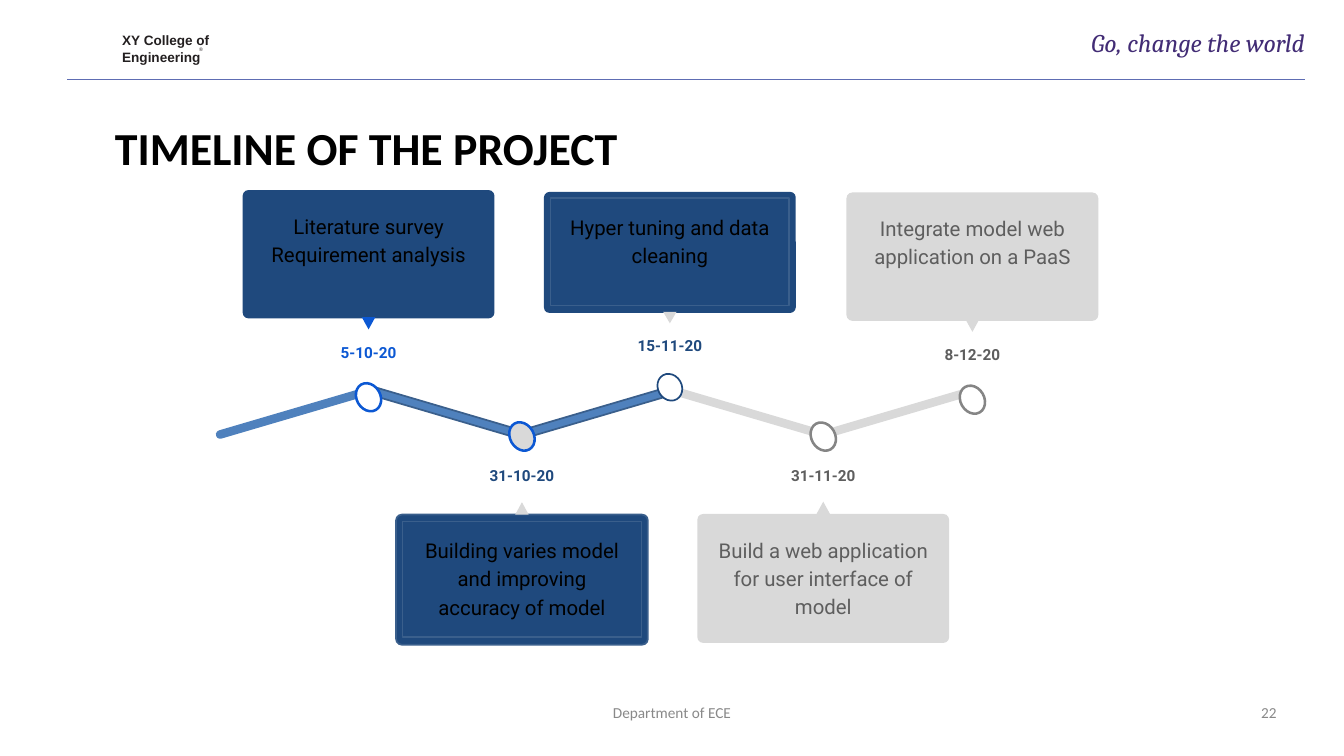
from dataclasses import dataclass

from lxml import etree
from pptx import Presentation
from pptx.dml.color import RGBColor
from pptx.enum.shapes import MSO_CONNECTOR, MSO_SHAPE
from pptx.enum.text import MSO_ANCHOR, PP_ALIGN
from pptx.oxml.ns import qn
from pptx.util import Inches, Pt

STRAIGHT = MSO_CONNECTOR.STRAIGHT
ROUNDED, RECTANGLE = MSO_SHAPE.ROUNDED_RECTANGLE, MSO_SHAPE.RECTANGLE
OVAL, TRIANGLE = MSO_SHAPE.OVAL, MSO_SHAPE.ISOSCELES_TRIANGLE
TOP = MSO_ANCHOR.TOP
LEFT, CENTER, RIGHT = PP_ALIGN.LEFT, PP_ALIGN.CENTER, PP_ALIGN.RIGHT


@dataclass(frozen=True)
class Theme:
    """Colours, type sizes and fonts of the slide."""
    white: str = "FFFFFF"
    black: str = "000000"
    ink: str = "231F20"
    purple: str = "422C75"
    rule: str = "5E6DB3"
    navy: str = "1F497D"
    bright: str = "0C58D3"
    blue: str = "4F81BD"
    edge: str = "3A5F8C"
    pale: str = "D9D9D9"
    ring: str = "858585"
    grey: str = "5E5E5E"
    footer: str = "898989"
    heading_size: int = 54
    motto_size: int = 30
    card_size: int = 24
    small_size: int = 18
    college_size: int = 16
    mark_size: int = 6
    heading_font: str = "Calibri"
    motto_font: str = "Cambria"
    college_font: str = "Arial"
    body_font: str = "Roboto"


THEME = Theme()


@dataclass(frozen=True)
class Milestone:
    """One dated step: its card, pointer, date and marker on the path."""
    center: float
    card_top: float
    card_height: float
    date: str
    task: str
    card_fill: str
    task_color: str
    date_color: str
    pointer_fill: str
    marker_line: str
    marker_width: int = 3
    marker_fill: str = THEME.white
    card_line: str | None = None
    body_line: str | None = None
    above: bool = True


MILESTONES = (
    Milestone(6.03, 3.11, 2.1, "5-10-20", "Literature survey Requirement analysis",
              THEME.navy, THEME.black, THEME.bright, THEME.bright, THEME.bright),
    Milestone(8.54, 8.42, 2.13, "31-10-20",
              "Building varies model and improving accuracy of model",
              THEME.navy, THEME.black, THEME.navy, THEME.pale, THEME.bright,
              marker_fill=THEME.pale, card_line=THEME.edge,
              body_line=THEME.edge, above=False),
    Milestone(10.96, 3.14, 1.98, "15-11-20", "Hyper tuning and data cleaning",
              THEME.navy, THEME.black, THEME.navy, THEME.pale, THEME.navy,
              marker_width=2, body_line=THEME.edge),
    Milestone(13.47, 8.41, 2.11, "31-11-20",
              "Build a web application for user interface of model",
              THEME.pale, THEME.grey, THEME.grey, THEME.pale, THEME.ring, above=False),
    Milestone(15.91, 3.15, 2.1, "8-12-20", "Integrate model web application on a PaaS",
              THEME.pale, THEME.grey, THEME.grey, THEME.pale, THEME.ring),
)


def add_block(slide, kind, box, fill, line=None, line_width=2, rotation=0, corner=None):
    """Add a flat preset shape with an optional outline."""
    block = slide.shapes.add_shape(kind, *map(Inches, box))
    block.shadow.inherit = False
    block.fill.solid()
    block.fill.fore_color.rgb = RGBColor.from_string(fill)
    if line:
        block.line.color.rgb = RGBColor.from_string(line)
        block.line.width = Pt(line_width)
    else:
        block.line.fill.background()
    block.rotation = rotation
    if corner is not None:
        block.adjustments[0] = corner
    return block


def write(holder, lines, font, size, color, align=LEFT, bold=False, italic=False,
          inset=0, spacing=1.0, after=0):
    """Fill a shape or text box with one paragraph per line."""
    frame = holder.text_frame
    frame.word_wrap = True
    frame.vertical_anchor = TOP
    frame.margin_left = frame.margin_right = Inches(inset)
    frame.margin_top = frame.margin_bottom = Inches(inset)
    for index, line in enumerate(lines):
        paragraph = frame.add_paragraph() if index else frame.paragraphs[0]
        paragraph.alignment = align
        paragraph.line_spacing = spacing
        paragraph.space_after = Pt(after)
        run = paragraph.add_run()
        run.text = line
        run.font.name = font
        run.font.size = Pt(size)
        run.font.bold = bold
        run.font.italic = italic
        run.font.color.rgb = RGBColor.from_string(color)


def add_label(slide, box, lines, font, size, color, **style):
    """Add a text box holding the given lines."""
    label = slide.shapes.add_textbox(*map(Inches, box))
    write(label, lines, font, size, color, **style)


def add_header(slide):
    """Add the rule, college name, motto and heading."""
    rule = slide.shapes.add_connector(
        STRAIGHT, Inches(1.1), Inches(1.3), Inches(21.36), Inches(1.3))
    rule.line.color.rgb = RGBColor.from_string(THEME.rule)
    rule.line.width = Pt(1.25)
    etree.SubElement(rule.line._get_or_add_ln().getparent(), qn("a:effectLst"))
    add_label(slide, (2, 0.5, 1.5, 0.54), ["XY College of", "Engineering"],
              THEME.college_font, THEME.college_size, THEME.ink, bold=True, spacing=1.06)
    add_label(slide, (3.26, 0.76, 0.15, 0.12), ["®"],
              THEME.college_font, THEME.mark_size, THEME.ink)
    add_label(slide, (17.33, 0.45, 4.02, 0.51), ["Go, change the world"],
              THEME.motto_font, THEME.motto_size, THEME.purple, align=RIGHT, italic=True)
    add_label(slide, (1.88, 1.95, 11.2, 0.92), ["TIMELINE OF THE PROJECT"],
              THEME.heading_font, THEME.heading_size, THEME.black, bold=True)


def add_path(slide):
    """Add the zigzag of bars, done steps in blue and open ones in grey."""
    bars = ((THEME.blue, None), (THEME.blue, THEME.edge), (THEME.blue, THEME.edge),
            (THEME.pale, None), (THEME.pale, None))
    for index, (fill, line) in reversed(list(enumerate(bars))):
        tilt = 16.4 if index % 2 else -16.4
        add_block(slide, ROUNDED, (3.48 + 2.47 * index, 6.68, 2.69, 0.14),
                  fill, line, rotation=tilt, corner=0.5)


def add_milestone(slide, step):
    """Add a card with its pointer, date and marker, scaled to the card height."""
    scale = step.card_height / 2.1
    pointer, date, marker = (2.08, 2.28, 3.15) if step.above else (-0.2, -1, -1.5)

    def place(width, offset, height):
        """Return a box centred on the step, offset from the card top."""
        return (step.center - width / 2, step.card_top + offset * scale,
                width, height * scale)

    add_label(slide, place(1.68, date, 0.82), [step.date], THEME.body_font,
              THEME.small_size, step.date_color, align=CENTER, bold=True,
              inset=0.22, spacing=1.15, after=35)
    add_block(slide, ROUNDED, place(4.12, 0, 2.1), step.card_fill,
              step.card_line, corner=0.045)
    body = add_block(slide, RECTANGLE, place(3.91, 0.11, 1.86), step.card_fill,
                     step.body_line)
    write(body, [step.task], THEME.body_font, THEME.card_size, step.task_color,
          align=CENTER, inset=0.22, spacing=1.15)
    add_block(slide, TRIANGLE, place(0.22, pointer, 0.2), step.pointer_fill,
              rotation=180 if step.above else 0)
    add_block(slide, OVAL, place(0.39, marker, 0.48), step.marker_fill,
              step.marker_line, step.marker_width, rotation=330.2)


def add_footer(slide):
    """Add the department and the page number."""
    for box, text, align in (((7.48, 11.5, 7.03, 0.62), "Department of ECE", CENTER),
                             ((15.83, 11.5, 5.06, 0.62), "22", RIGHT)):
        add_label(slide, box, [text], THEME.heading_font, THEME.small_size,
                  THEME.footer, align=align)


def main():
    """Build the timeline slide and save it."""
    deck = Presentation()
    deck.slide_width, deck.slide_height = Inches(21.99), Inches(12.37)
    slide = deck.slides.add_slide(deck.slide_layouts[6])
    add_header(slide)
    add_path(slide)
    for step in MILESTONES:
        add_milestone(slide, step)
    add_footer(slide)
    deck.save("out.pptx")


if __name__ == "__main__":
    main()
